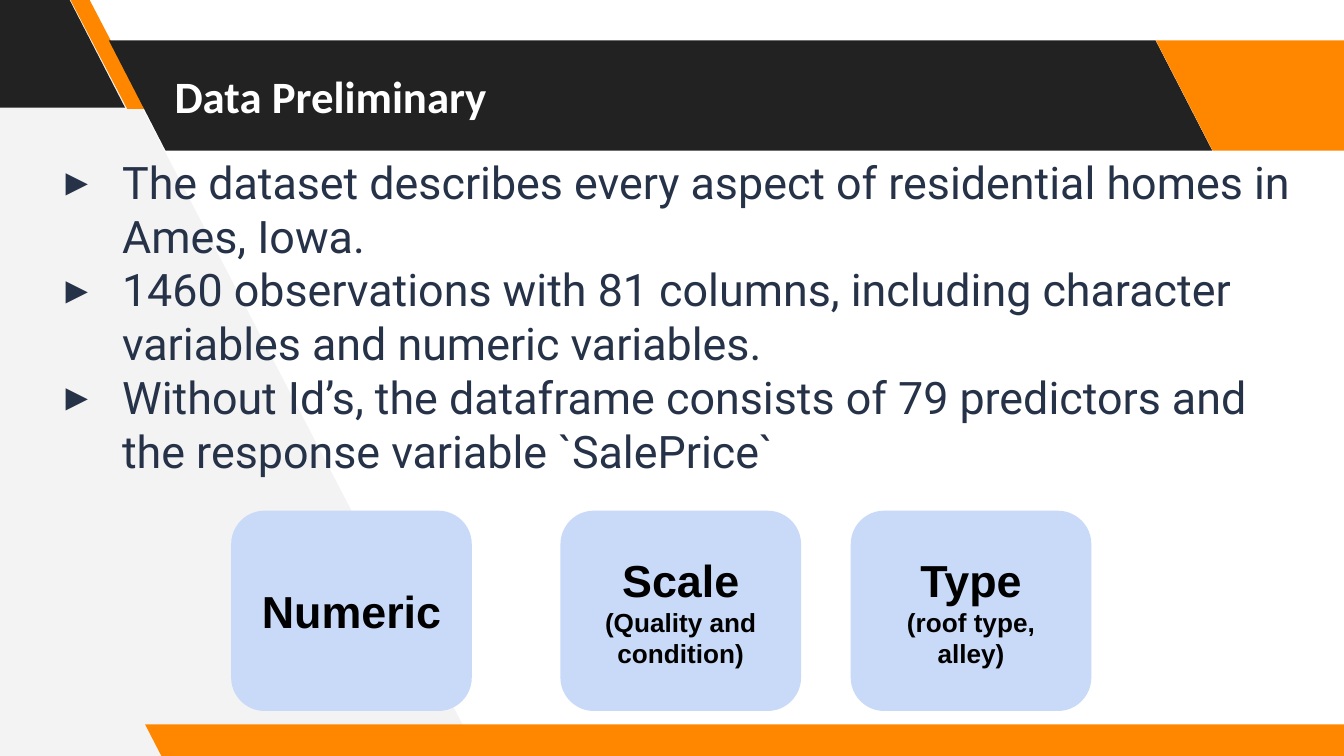
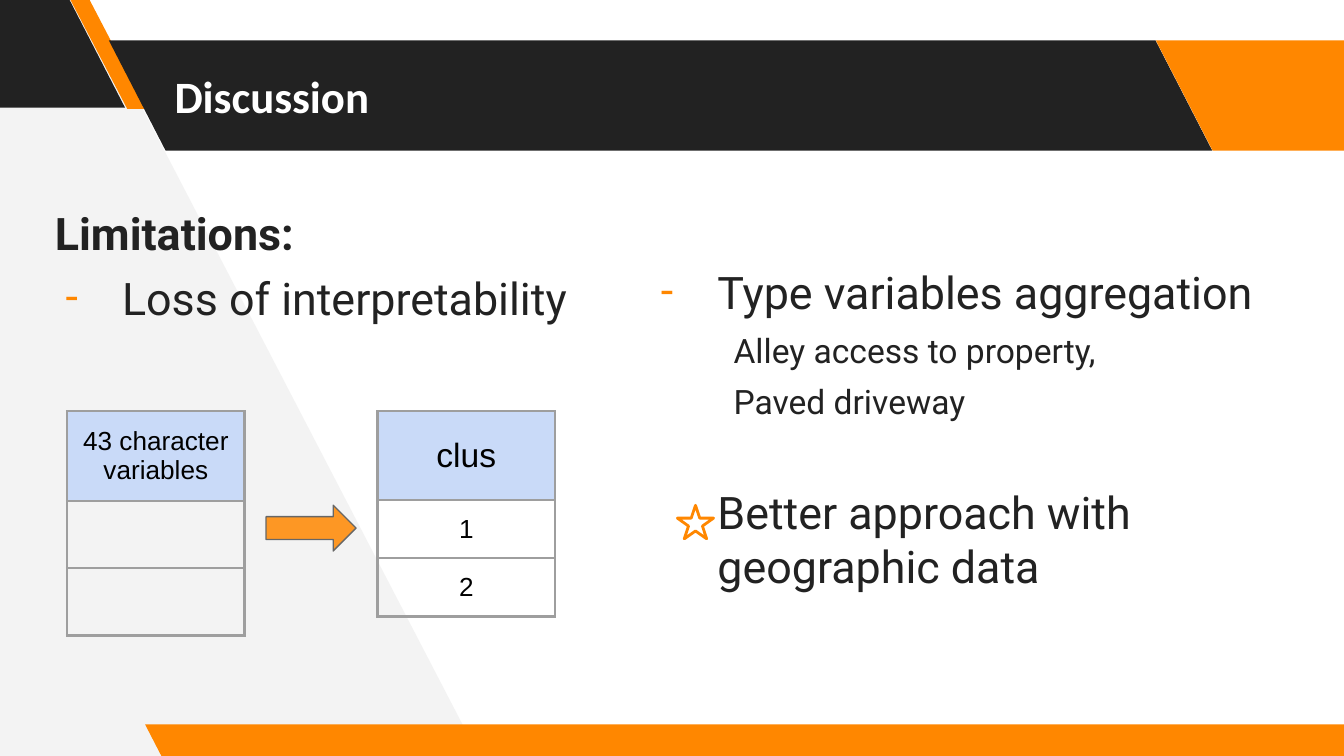
from lxml.etree import SubElement
from pptx import Presentation
from pptx.dml.color import RGBColor
from pptx.enum.shapes import MSO_SHAPE as SHAPE
from pptx.enum.text import MSO_ANCHOR as ANCHOR, PP_ALIGN as ALIGN
from pptx.oxml.ns import qn
from pptx.util import Inches, Pt

COLORS = {
    "ink": "222222", "navy": "263248", "orange": "FF8700", "pale": "F3F3F3",
    "blue": "C9DAF8", "white": "FFFFFF", "black": "000000",
    "rule": "9E9E9E", "outline": "666666",
}

# The slide is a grid of 100 columns by 56.25 rows with square cells
COLUMNS, ROWS = 100, 56.25
WIDTH = Inches(10)
CELL = WIDTH / COLUMNS
MARGIN = 1
SLANT = 0.515


def grid(*cells):
    return [round(cell * CELL) for cell in cells]


def rgb(name):
    return RGBColor.from_string(COLORS[name])


def format_runs(paragraph, size, color, font, bold=False):
    for run in paragraph.runs:
        run.font.size = Pt(size)
        run.font.name = font
        run.font.bold = bold
        run.font.color.rgb = rgb(color)


def set_margins(holder):
    holder.margin_left, holder.margin_right, holder.margin_top, holder.margin_bottom = grid(*[MARGIN] * 4)


def paint(shape, fill=None, line=None, weight=0.75):
    shape.shadow.inherit = False
    if fill:
        shape.fill.solid()
        shape.fill.fore_color.rgb = rgb(fill)
    else:
        shape.fill.background()
    if line:
        shape.line.color.rgb = rgb(line)
        shape.line.width = Pt(weight)
    else:
        shape.line.fill.background()


def add_figure(slide, kind, box, **paint_options):
    figure = slide.shapes.add_shape(kind, *grid(*box))
    paint(figure, **paint_options)
    return figure


def add_band(slide, box, color, slant=SLANT):
    band = add_figure(slide, SHAPE.PARALLELOGRAM, box, fill=color)
    band.adjustments[0] = slant
    band.element.spPr.find(qn("a:xfrm")).set("flipH", "1")


def add_text(slide, box, anchor=ANCHOR.TOP):
    frame = slide.shapes.add_textbox(*grid(*box)).text_frame
    frame.word_wrap = True
    frame.vertical_anchor = anchor
    set_margins(frame)
    return frame


def indent(paragraph, left, first=0):
    properties = paragraph._p.get_or_add_pPr()
    for key, value in zip(("marL", "indent"), grid(left, first)):
        properties.set(key, str(value))
    return properties


def add_bullet(paragraph, mark, color):
    properties = indent(paragraph, 5, -4.2)
    bullet_color = SubElement(properties, qn("a:buClr"))
    SubElement(bullet_color, qn("a:srgbClr")).set("val", COLORS[color])
    SubElement(properties, qn("a:buFont")).set("typeface", "Roboto")
    SubElement(properties, qn("a:buChar")).set("char", mark)


def write_body(frame, lines, color, mark, mark_color):
    """Each line is (text, size, bold, space before, left indent or None for a bullet)."""
    for index, (text, size, bold, gap, left) in enumerate(lines):
        paragraph = frame.add_paragraph() if index else frame.paragraphs[0]
        paragraph.text = text
        paragraph.space_before = Pt(gap)
        format_runs(paragraph, size, color, "Roboto", bold)
        if left is None:
            add_bullet(paragraph, mark, mark_color)
        else:
            indent(paragraph, left)


def add_card(slide, left, heading, detail=None):
    card = add_figure(slide, SHAPE.FLOWCHART_ALTERNATE_PROCESS,
                      (left, 38, 17.9, 14.9), fill="blue")
    frame = card.text_frame
    frame.word_wrap = True
    frame.vertical_anchor = ANCHOR.MIDDLE
    set_margins(frame)
    frame.text = f"{heading}\n{detail}" if detail else heading
    for paragraph, size in zip(frame.paragraphs, (24, 14)):
        paragraph.alignment = ALIGN.CENTER
        format_runs(paragraph, size, "black", "Arial", True)


def set_borders(cell):
    properties = cell._tc.get_or_add_tcPr()
    for index, side in enumerate(("lnL", "lnR", "lnT", "lnB")):
        border = SubElement(properties, qn(f"a:{side}"))
        border.set("w", str(Pt(1.5)))
        fill = SubElement(border, qn("a:solidFill"))
        SubElement(fill, qn("a:srgbClr")).set("val", COLORS["rule"])
        properties.insert(index, border)


def add_column_table(slide, left, heights, texts, heading_size):
    box = grid(left, 30.6, 13.2, sum(heights))
    table = slide.shapes.add_table(len(texts), 1, *box).table
    table.first_row = table.horz_banding = False
    for index, (height, text) in enumerate(zip(heights, texts)):
        table.rows[index].height = grid(height)[0]
        cell = table.cell(index, 0)
        cell.vertical_anchor = ANCHOR.MIDDLE
        set_margins(cell)
        if index:
            cell.fill.background()
        else:
            cell.fill.solid()
            cell.fill.fore_color.rgb = rgb("blue")
        if text:
            cell.text = text
            paragraph = cell.text_frame.paragraphs[0]
            paragraph.alignment = ALIGN.CENTER
            format_runs(paragraph, 14 if index else heading_size, "black", "Arial")
        set_borders(cell)


def add_titled_slide(deck, title):
    slide = deck.slides.add_slide(deck.slide_layouts[6])
    # Pale wedge on the left
    corners = [grid(*point) for point in ((35.6, 56.2), (6.2, -0.4), (-0.6, -0.4), (-0.2, 56.6))]
    outline = slide.shapes.build_freeform(*corners[0])
    outline.add_line_segments(corners[1:], close=True)
    paint(outline.convert_to_shape(), fill="pale")
    # Slanted bands of the header and the footer
    add_band(slide, (-9.9, -0.2, 19.2, 8.2), "ink")
    add_band(slide, (5.2, -0.1, 5.7, 8.2), "orange", 0.75)
    add_band(slide, (8.1, 3, 82.1, 8.2), "ink")
    add_band(slide, (86, 3, 19.2, 8.2), "orange")
    add_band(slide, (10.8, 53.9, 91.5, 2.5), "orange")
    # Title
    frame = add_text(slide, (12, 3, 82.8, 8.2), ANCHOR.MIDDLE)
    frame.text = title
    format_runs(frame.paragraphs[0], 24, "white", "Calibri", True)
    return slide


def build_preliminary(deck):
    slide = add_titled_slide(deck, "Data Preliminary")
    facts = (
        "The dataset describes every aspect of residential homes in Ames, Iowa.",
        "1460 observations with 81 columns, including character variables and numeric variables.",
        "Without Id’s, the dataframe consists of 79 predictors and the response variable `SalePrice`",
    )
    write_body(add_text(slide, (3.1, 10.5, 94.9, 42.4)),
               [(fact, 24, False, 0, None) for fact in facts], "navy", "▸", "navy")
    # Kinds of variable
    add_card(slide, 17.2, "Numeric")
    add_card(slide, 41.7, "Scale", "(Quality and condition)")
    add_card(slide, 63.3, "Type", "(roof type, alley)")


def build_discussion(deck):
    slide = add_titled_slide(deck, "Discussion")
    limitations = [
        ("Limitations:", 24, True, 6, 0),
        ("Loss of interpretability", 24, False, 6, None),
    ]
    aggregation = [
        ("Type variables aggregation", 24, False, 6, None),
        ("Alley access to property,", 18, False, 6, 6.2),
        ("Paved driveway", 18, False, 6, 6.2),
        ("Better approach with geographic data", 24, False, 34, 5),
    ]
    for box, lines in (((3.1, 14.3, 41.1, 38.7), limitations),
                       ((47.4, 18.7, 50, 38.7), aggregation)):
        write_body(add_text(slide, box), lines, "ink", "-", "orange")
    # Character variables turned into clusters
    add_column_table(slide, 5, (4.2, 4.2, 4.2), ("43 character variables", "", ""), 14)
    add_column_table(slide, 28.1, (6.6, 4.3, 3.6), ("clus", "1", "2"), 18)
    arrow = add_figure(slide, SHAPE.RIGHT_ARROW, (19.8, 37.6, 6.7, 3.4),
                       fill="orange", line="outline")
    arrow_color = arrow.element.spPr.find(qn("a:solidFill")).find(qn("a:srgbClr"))
    SubElement(arrow_color, qn("a:alpha")).set("val", "85000")
    # Star beside the better approach
    add_figure(slide, SHAPE.STAR_5_POINT, (50.4, 37.6, 2.7, 2.5), line="orange", weight=1.5)


def main():
    deck = Presentation()
    deck.slide_width, deck.slide_height = grid(COLUMNS, ROWS)
    build_preliminary(deck)
    build_discussion(deck)
    deck.save("out.pptx")


if __name__ == "__main__":
    main()
